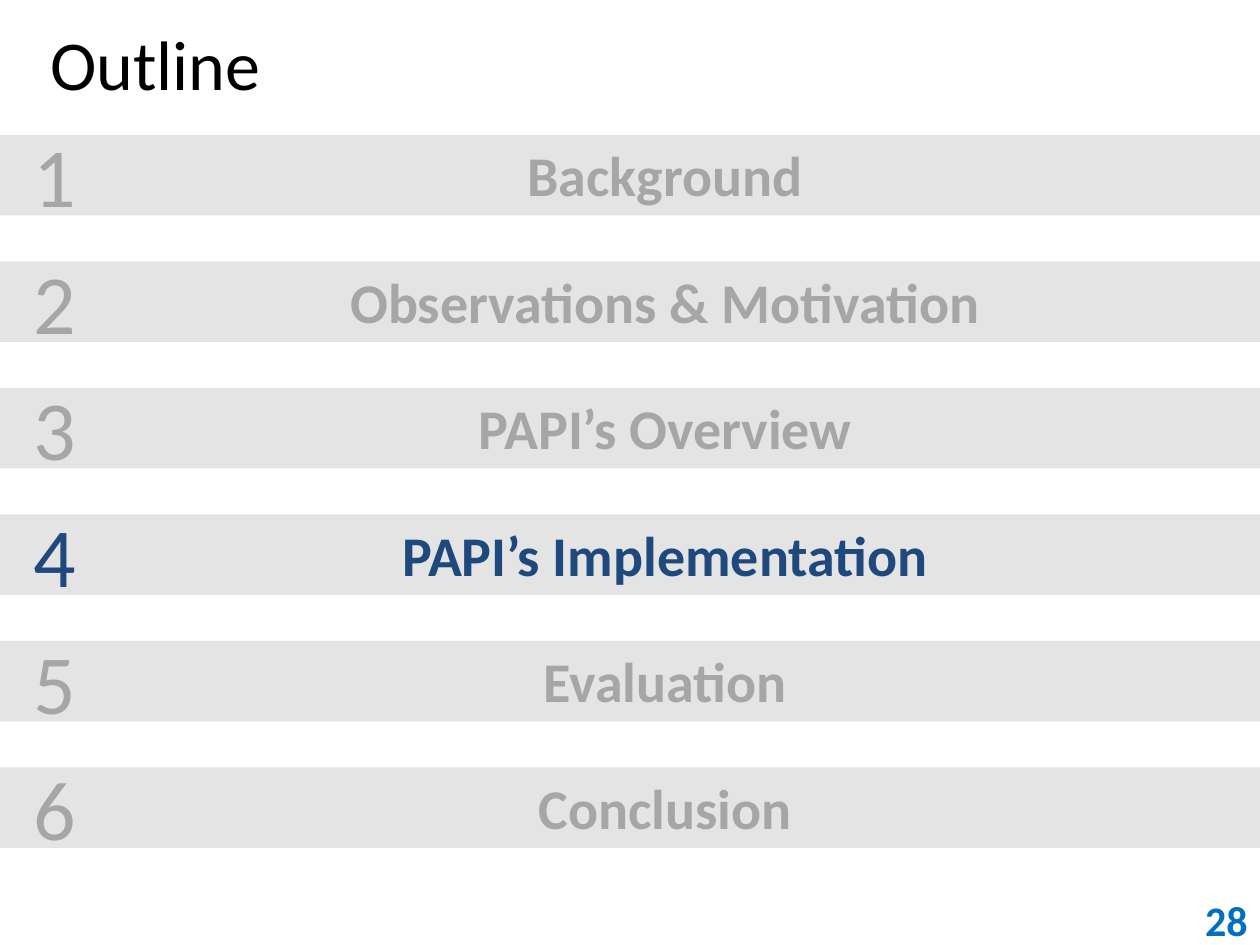
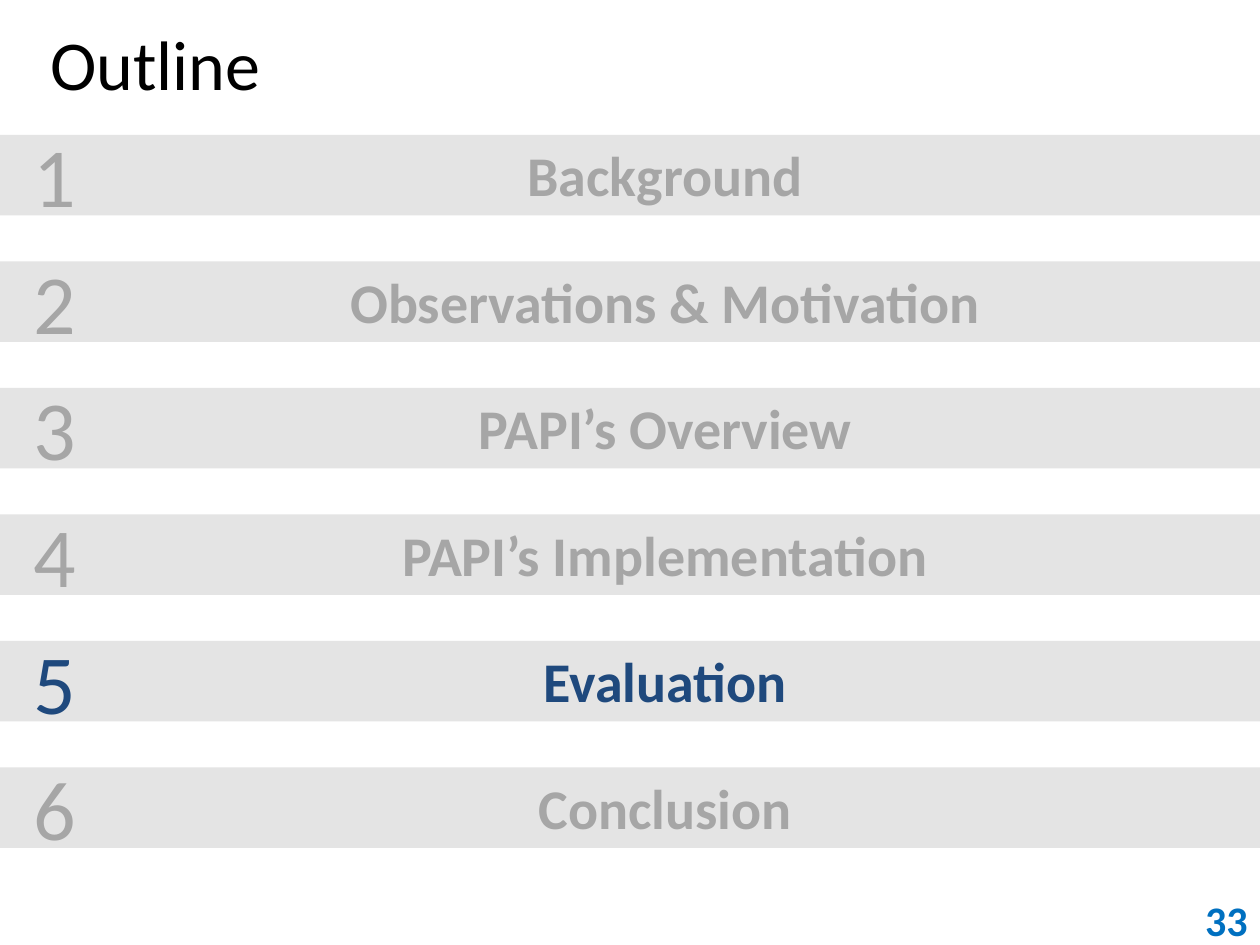
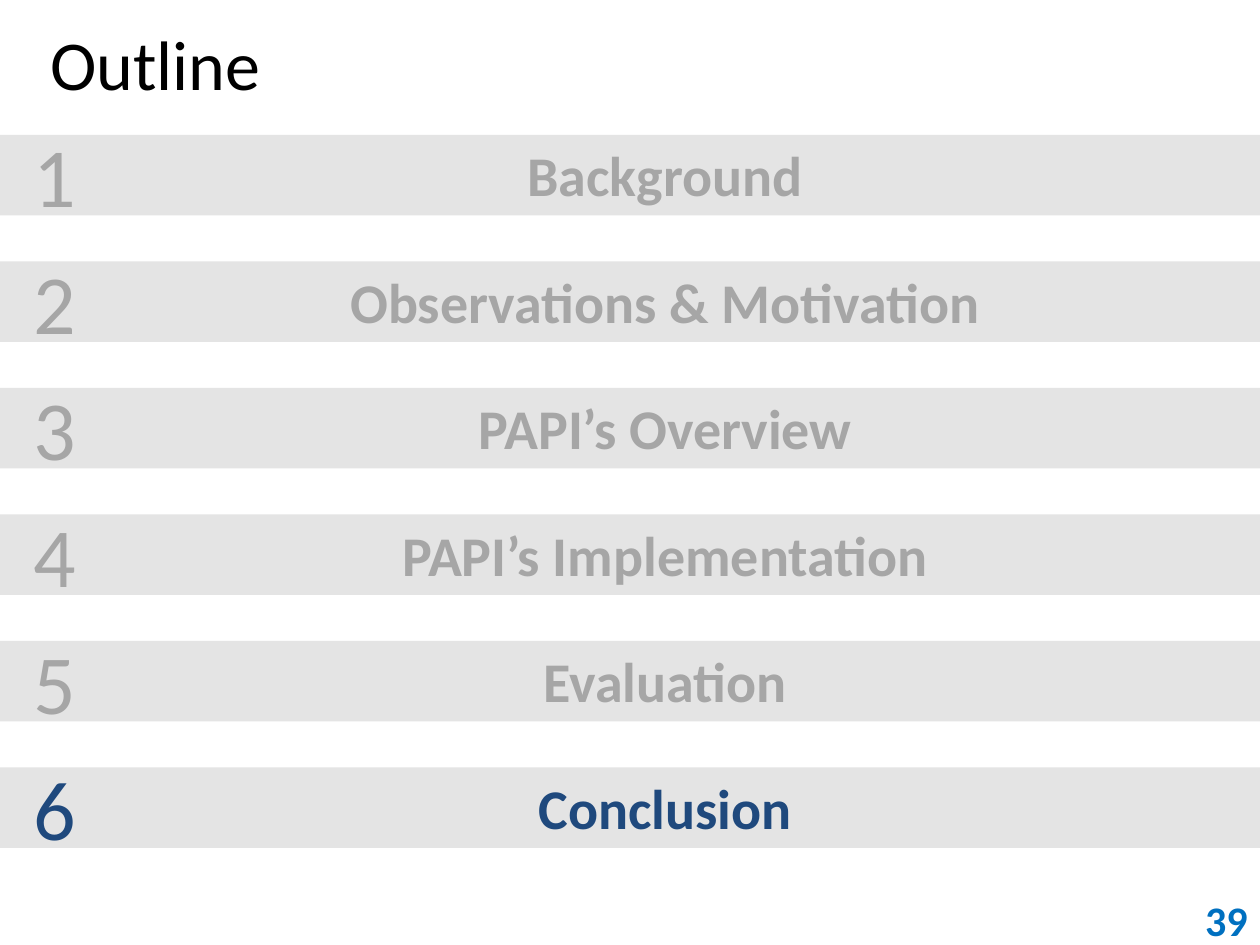
from pptx import Presentation
from pptx.dml.color import RGBColor
from pptx.enum.shapes import MSO_SHAPE
from pptx.enum.text import MSO_ANCHOR, PP_ALIGN
from pptx.util import Inches, Pt

TITLE = "Outline"
SECTIONS = [
    "Background",
    "Observations & Motivation",
    "PAPI’s Overview",
    "PAPI’s Implementation",
    "Evaluation",
    "Conclusion",
]
# (page number, highlighted section)
PAGES = [(28, 4), (33, 5), (39, 6)]

FONT = "Calibri"
BLACK = RGBColor(0x00, 0x00, 0x00)
BAND_GRAY = RGBColor(0xE4, 0xE4, 0xE4)
MUTED = RGBColor(0xA6, 0xA6, 0xA6)
ACTIVE = RGBColor(0x1F, 0x49, 0x7D)
PAGE_BLUE = RGBColor(0x00, 0x70, 0xC0)

WIDTH, HEIGHT = 10, 7.5
TITLE_HEIGHT = 1
FIRST_BAND, LAST_BAND = 1.07, 6.09
BAND_PITCH = (LAST_BAND - FIRST_BAND) / (len(SECTIONS) - 1)
BAND_HEIGHT = 0.64
BAND_INDENT = 0.56
NUMBER_LEFT, NUMBER_WIDTH, NUMBER_HEIGHT = 0.17, 0.52, 0.91
FOOTER_WIDTH, FOOTER_HEIGHT = 2, 0.4


def write(box, text, size, color, bold=False, align=PP_ALIGN.LEFT,
          anchor=MSO_ANCHOR.TOP, indent=0):
    frame = box.text_frame
    frame.word_wrap = True
    frame.vertical_anchor = anchor
    para = frame.paragraphs[0]
    para.alignment = align
    if indent:
        para._p.get_or_add_pPr().set("marL", str(Inches(indent)))
    span = para.add_run()
    span.text = text
    span.font.name = FONT
    span.font.size = Pt(size)
    span.font.bold = bold
    span.font.color.rgb = color


def add_text(page, left, top, width, height, text, **style):
    box = page.shapes.add_textbox(*map(Inches, (left, top, width, height)))
    write(box, text, **style)


def add_title(page):
    title = page.shapes.title
    title.left, title.top = 0, 0
    title.width, title.height = Inches(WIDTH), Inches(TITLE_HEIGHT)
    title.text_frame.margin_left = Inches(0.4)
    write(title, TITLE, size=40, color=BLACK, anchor=MSO_ANCHOR.MIDDLE)


def add_section(page, number, name, color):
    """Draw a full-width band with the section's name and its large number."""
    top = FIRST_BAND + (number - 1) * BAND_PITCH
    band = page.shapes.add_shape(
        MSO_SHAPE.RECTANGLE, 0, Inches(top), Inches(WIDTH), Inches(BAND_HEIGHT))
    band.shadow.inherit = False
    band.fill.solid()
    band.fill.fore_color.rgb = BAND_GRAY
    band.line.fill.background()
    write(band, name, size=32, color=color, bold=True,
          align=PP_ALIGN.CENTER, indent=BAND_INDENT)
    number_top = top + (BAND_HEIGHT - NUMBER_HEIGHT) / 2
    add_text(page, NUMBER_LEFT, number_top, NUMBER_WIDTH, NUMBER_HEIGHT,
             str(number), size=48, color=color)


def add_page_number(page, number):
    add_text(page, WIDTH - FOOTER_WIDTH, HEIGHT - FOOTER_HEIGHT,
             FOOTER_WIDTH, FOOTER_HEIGHT, str(number), size=24,
             color=PAGE_BLUE, bold=True, align=PP_ALIGN.RIGHT,
             anchor=MSO_ANCHOR.MIDDLE)


def main():
    deck = Presentation()
    deck.slide_width, deck.slide_height = Inches(WIDTH), Inches(HEIGHT)
    title_only = deck.slide_layouts.get_by_name("Title Only")
    for page_number, active in PAGES:
        page = deck.slides.add_slide(title_only)
        add_title(page)
        for number, name in enumerate(SECTIONS, start=1):
            add_section(page, number, name, ACTIVE if number == active else MUTED)
        add_page_number(page, page_number)
    deck.save("out.pptx")


if __name__ == "__main__":
    main()
